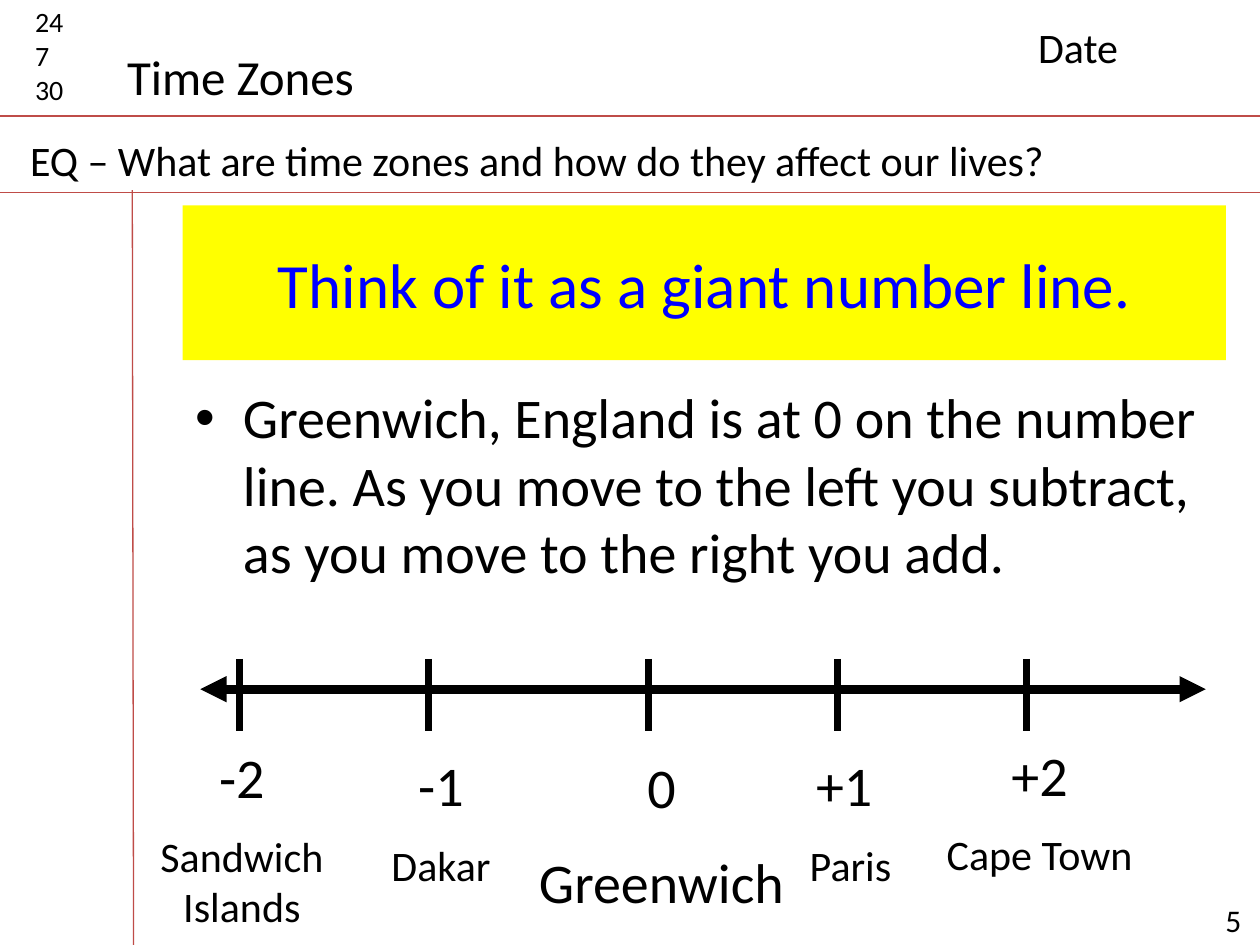
from dataclasses import dataclass

from lxml import etree
from pptx import Presentation
from pptx.dml.color import RGBColor as RGB
from pptx.enum.shapes import MSO_CONNECTOR as Conn, MSO_SHAPE as Shape
from pptx.enum.text import MSO_ANCHOR as Anchor, PP_ALIGN as Align
from pptx.oxml.ns import qn
from pptx.util import Inches, Pt


@dataclass(frozen=True)
class Theme:
    font: str = "Calibri"
    ink: RGB = RGB(0, 0, 0)
    rule: RGB = RGB(0xBF, 0x4C, 0x48)
    band: RGB = RGB(0xFF, 0xFF, 0)
    title: RGB = RGB(0, 0, 0xFF)
    tiny: int = 16
    page: int = 18
    small: int = 24
    topic: int = 28
    body: int = 32
    head: int = 36


THEME = Theme()


def style(para, size, color=THEME.ink, align=Align.LEFT):
    para.alignment = align
    para.font.name = THEME.font
    para.font.size = Pt(size)
    para.font.color.rgb = color


def add_text(slide, box, lines, align=Align.LEFT, gap=0, wrap=True):
    """Add a text box; lines are (text, size), gap is a share of the size."""
    frame = slide.shapes.add_textbox(*map(Inches, box)).text_frame
    frame.word_wrap = wrap
    for i, (text, size) in enumerate(lines):
        para = frame.add_paragraph() if i else frame.paragraphs[0]
        para.text = text
        if i and gap:
            para.space_before = Pt(size * gap)
        style(para, size, align=align)
    return frame


def add_line(slide, start, end, color, width, arrows=False):
    ends = map(Inches, (*start, *end))
    line = slide.shapes.add_connector(Conn.STRAIGHT, *ends)
    line.line.color.rgb = color
    line.line.width = Pt(width)
    if arrows:
        ln = line.line._get_or_add_ln()
        for tag in ("a:headEnd", "a:tailEnd"):
            etree.SubElement(ln, qn(tag), type="triangle")
    etree.SubElement(line._element.spPr, qn("a:effectLst"))


def add_band(slide, box, text):
    band = slide.shapes.add_shape(Shape.RECTANGLE, *map(Inches, box))
    band.shadow.inherit = False
    band.fill.solid()
    band.fill.fore_color.rgb = THEME.band
    band.line.fill.background()
    frame = band.text_frame
    frame.word_wrap = True
    frame.vertical_anchor = Anchor.MIDDLE
    frame.text = text
    style(frame.paragraphs[0], THEME.head, THEME.title, Align.CENTER)


def add_bullet(slide, box, text):
    para = add_text(slide, box, [(text, THEME.body)]).paragraphs[0]
    props = para._p.get_or_add_pPr()
    props.set("marL", str(Inches(0.38)))
    props.set("indent", str(-Inches(0.38)))
    font = etree.Element(qn("a:buFont"), typeface="Arial")
    mark = etree.Element(qn("a:buChar"), char="•")
    # Bullet elements come before the default run properties
    props.insert(0, font)
    font.addnext(mark)


def add_notes(slide):
    """Draw the notebook page: rules, corner numbers and headings."""
    for start, end in (((0, 0.92), (10, 0.92)), ((0, 1.53), (10, 1.53)),
                       ((1.05, 1.51), (1.06, 7.5))):
        add_line(slide, start, end, THEME.rule, 0.75)
    add_text(slide, (9.57, 7.1, 0.6, 0.4), [(" 5", THEME.page)])
    add_text(slide, (0.18, -0.01, 0.63, 0.91),
             [(num, THEME.tiny) for num in ("24", "7", "30")])
    add_text(slide, (8.14, 0.12, 1.73, 0.5), [("Date", THEME.small)])
    add_text(slide, (0.14, 1.02, 9.43, 0.5),
             [("EQ – What are time zones and how do they affect our lives?",
               THEME.small)])
    add_text(slide, (0.91, 0.32, 2.02, 0.57),
             [("Time Zones", THEME.topic)], wrap=False)


def add_axis(slide):
    """Draw the number line with a tick and a label for each zone."""
    add_line(slide, (1.59, 5.47), (9.57, 5.47), THEME.ink, 5, arrows=True)
    # Tick x, label centre, label top, hour, place, place size
    zones = (
        (1.9, 1.92, 5.84, "-2", "Sandwich Islands", THEME.small),
        (3.4, 3.5, 5.91, "-1", "Dakar", THEME.small),
        (5.15, 5.25, 5.92, "0", "Greenwich", THEME.body),
        (6.65, 6.75, 5.91, "+1 ", "Paris", THEME.small),
        (8.15, 8.25, 5.83, "+2", "Cape Town", THEME.small),
    )
    width = 2.15
    for tick, mid, top, hour, place, size in zones:
        add_line(slide, (tick, 5.23), (tick, 5.8), THEME.ink, 4)
        add_text(slide, (mid - width / 2, top, width, 1.25),
                 [(hour, THEME.body), (place, size)], Align.CENTER, gap=0.5)


def main():
    deck = Presentation()
    deck.slide_width, deck.slide_height = Inches(10), Inches(7.5)
    slide = deck.slides.add_slide(deck.slide_layouts[6])
    add_notes(slide)
    # Headline and rule of the number line
    add_band(slide, (1.45, 1.63, 8.28, 1.23),
             "Think of it as a giant number line.")
    add_bullet(slide, (1.45, 2.99, 8.28, 4.85),
               "Greenwich, England is at 0 on the number line. As you move to "
               "the left you subtract, as you move to the right you add.")
    add_axis(slide)
    deck.save("out.pptx")


if __name__ == "__main__":
    main()
